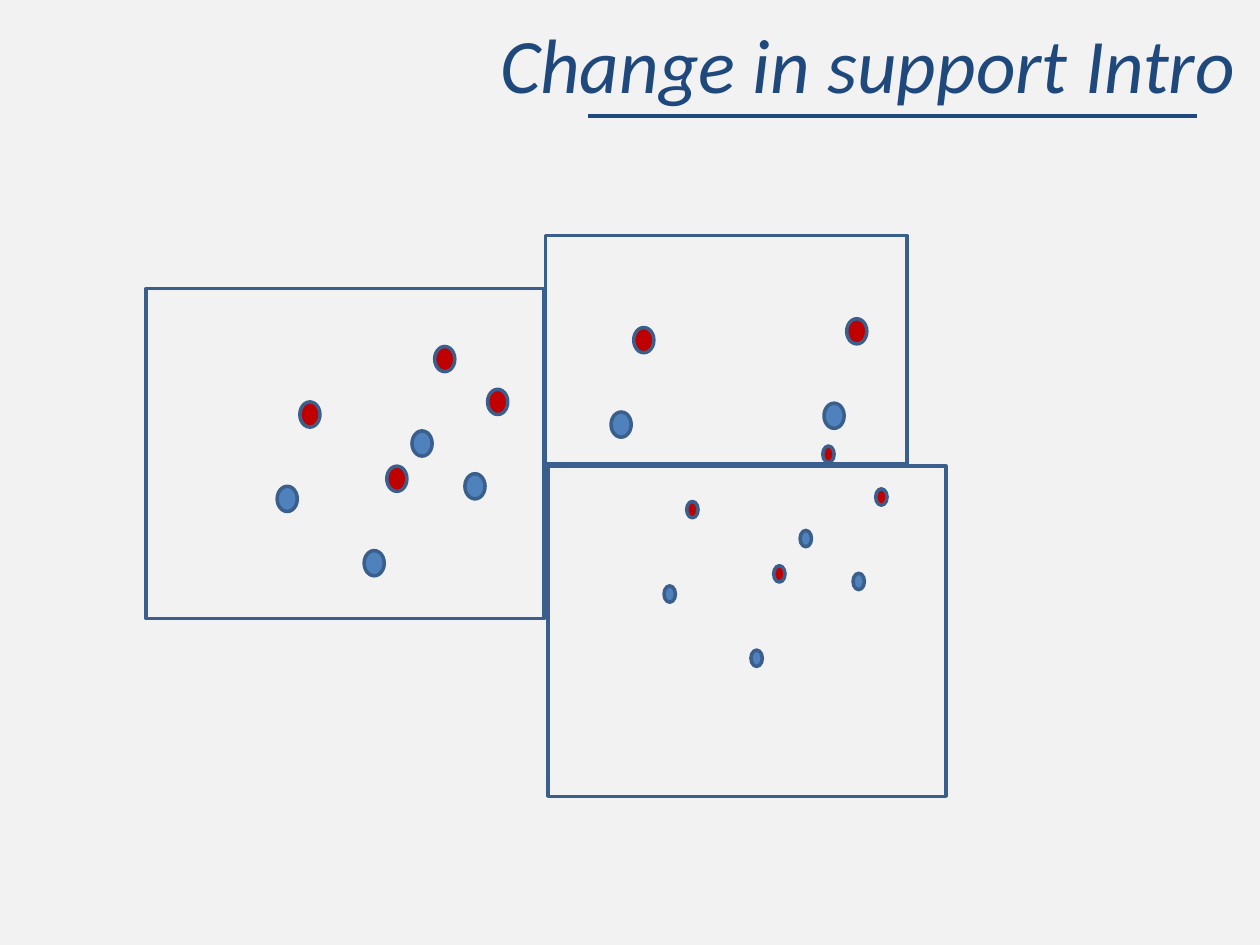
from lxml import etree
from pptx import Presentation
from pptx.dml.color import RGBColor
from pptx.enum.shapes import MSO_CONNECTOR, MSO_SHAPE
from pptx.enum.text import MSO_ANCHOR, PP_ALIGN
from pptx.oxml.ns import qn
from pptx.util import Inches, Pt

COLORS = {
    "background": "F2F2F2",
    "title": "1F497D",
    "outline": "3A5F8C",
    "blue": "4F81BD",
    "red": "C00000",
}


def color(name):
    return RGBColor.from_string(COLORS[name])


def add_outlined(slide, kind, left, top, width, height, fill=None):
    outlined = slide.shapes.add_shape(
        kind, Inches(left), Inches(top), Inches(width), Inches(height))
    outlined.shadow.inherit = False
    if fill:
        outlined.fill.solid()
        outlined.fill.fore_color.rgb = color(fill)
    else:
        outlined.fill.background()
    outlined.line.color.rgb = color("outline")
    outlined.line.width = Pt(2)


prs = Presentation()
prs.slide_width = Inches(10)
prs.slide_height = Inches(7.5)
slide = prs.slides.add_slide(prs.slide_layouts[5])
slide.background.fill.solid()
slide.background.fill.fore_color.rgb = color("background")

rule = slide.shapes.add_connector(
    MSO_CONNECTOR.STRAIGHT, Inches(4.67), Inches(0.92), Inches(9.5), Inches(0.92))
rule.line.color.rgb = color("title")
rule.line.width = Pt(2)
etree.SubElement(rule._element.spPr, qn("a:effectLst"))

title = slide.shapes.title
title.left, title.top = Inches(0.08), Inches(0)
title.width, title.height = Inches(9.83), Inches(1)
title.text_frame.text = "Change in support Intro"
title.text_frame.vertical_anchor = MSO_ANCHOR.MIDDLE
heading = title.text_frame.paragraphs[0]
heading.alignment = PP_ALIGN.RIGHT
heading.font.name = "Calibri"
heading.font.size = Pt(44)
heading.font.italic = True
heading.font.color.rgb = color("title")

large, small = (0.16, 0.2), (0.09, 0.13)
points = [
    (2.2, 3.86, large), (4.85, 3.27, large), (3.69, 3.76, large),
    (3.27, 3.42, large), (2.89, 4.37, large), (6.54, 3.2, large),
    (5.27, 4.65, small), (6.77, 4.55, small), (6.35, 4.21, small),
    (5.96, 5.16, small),
]
for fill, shift_x, shift_y in [("blue", 0, 0), ("red", 0.18, -0.67)]:
    for left, top, size in points:
        add_outlined(slide, MSO_SHAPE.OVAL, left + shift_x, top + shift_y, *size, fill)

regions = [(1.16, 2.29, 3.16, 2.62), (4.33, 1.87, 2.87, 1.81), (4.35, 3.7, 3.16, 2.62)]
for region in regions:
    add_outlined(slide, MSO_SHAPE.RECTANGLE, *region)

prs.save("out.pptx")
